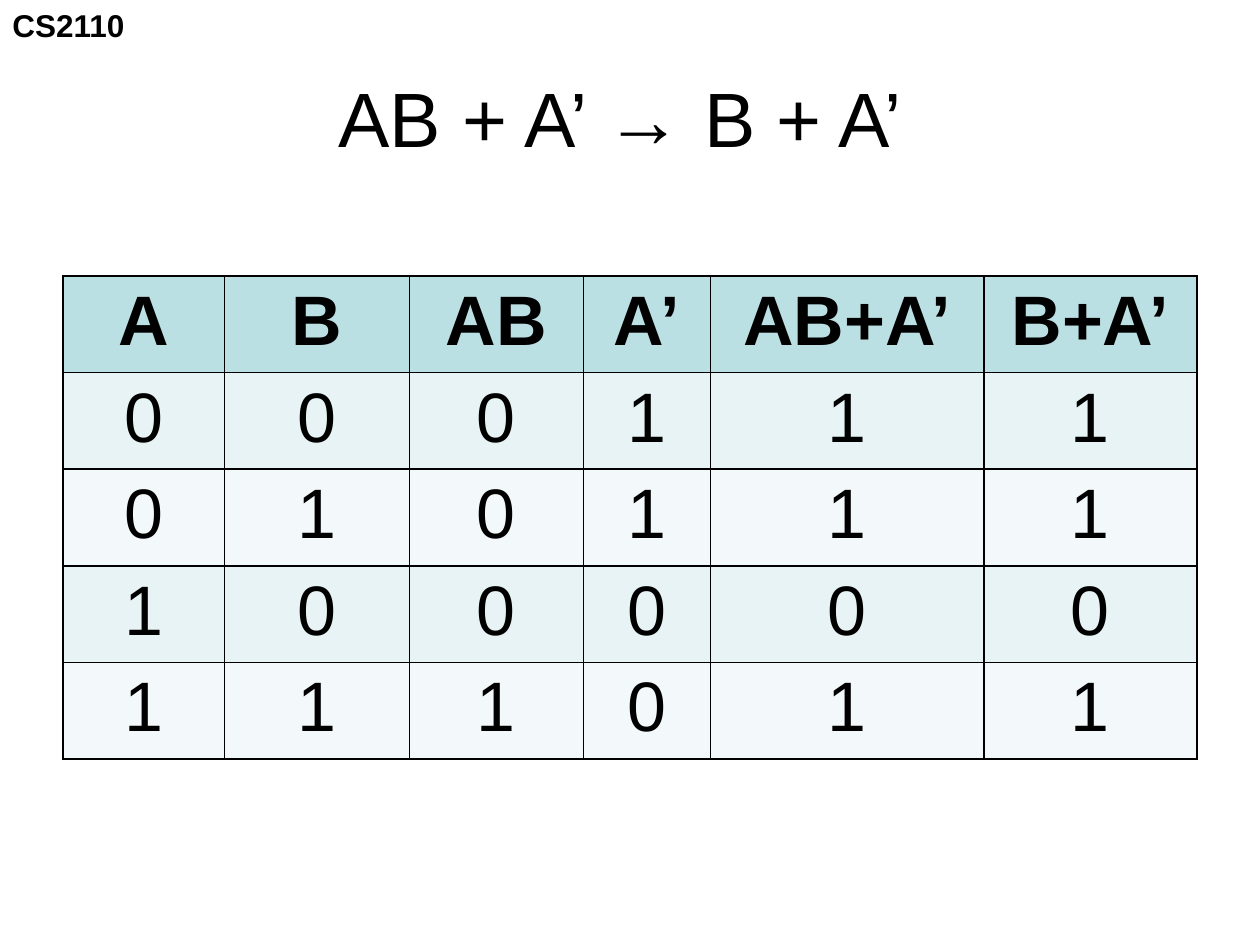
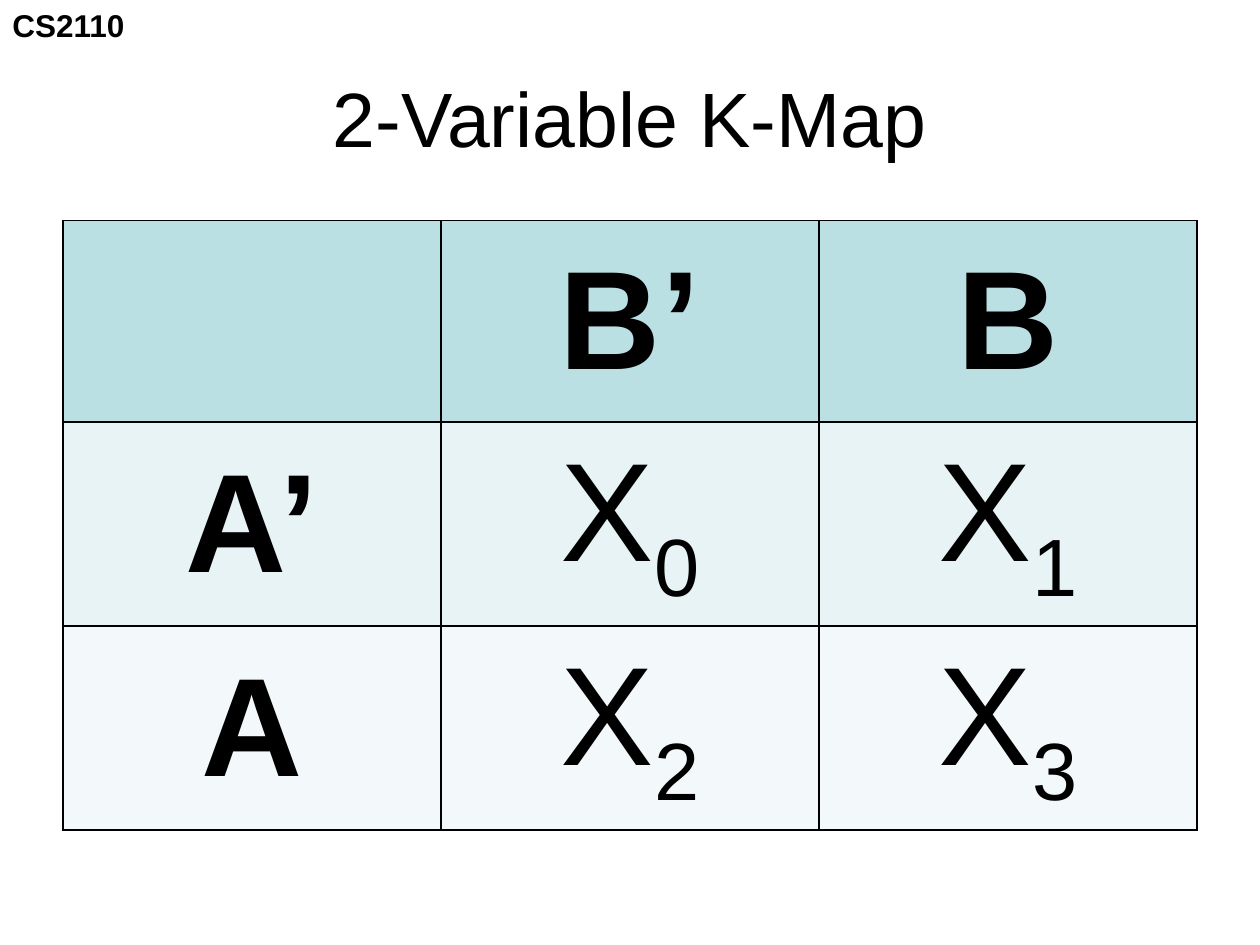
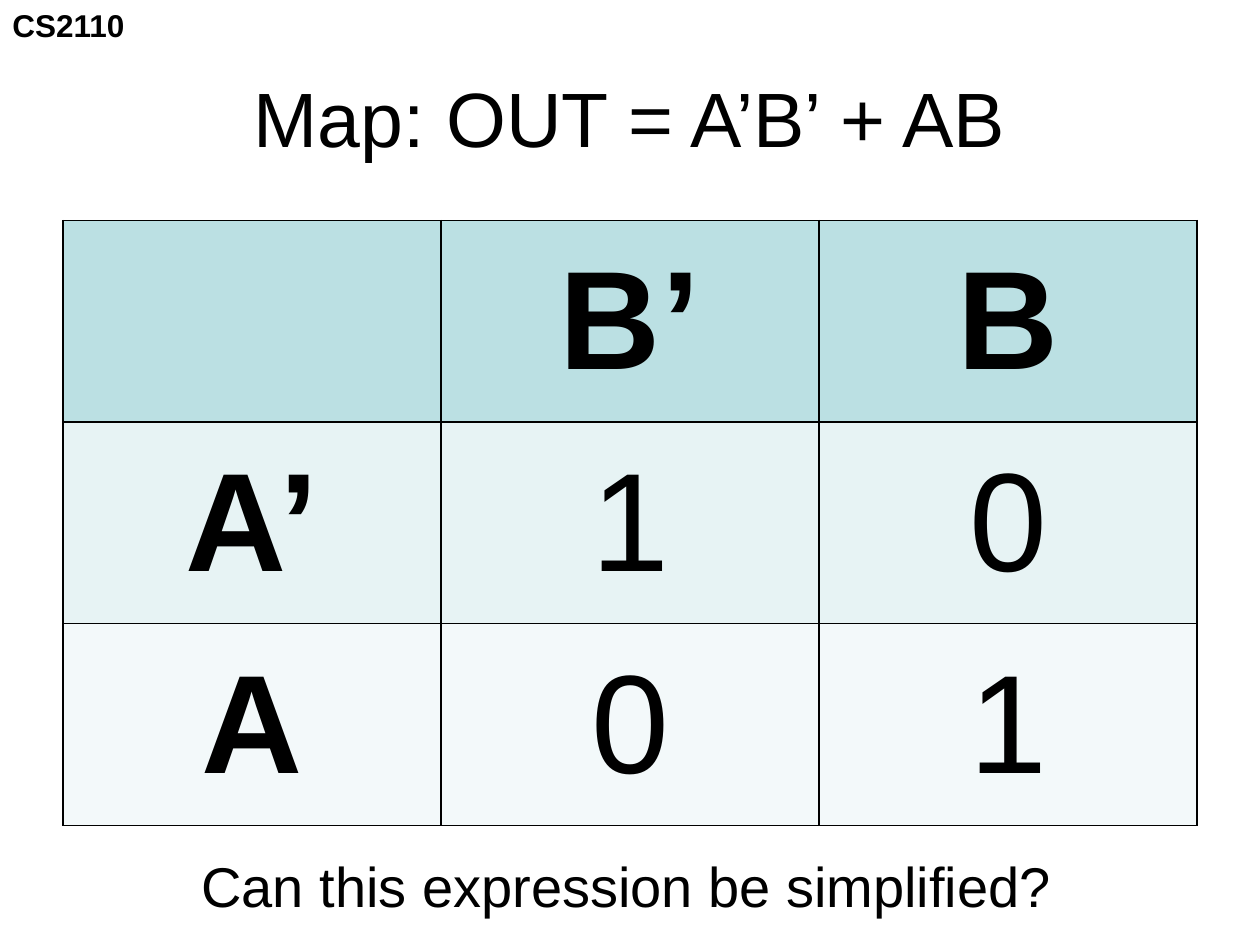
from dataclasses import dataclass

from lxml import etree
from pptx import Presentation
from pptx.dml.color import RGBColor
from pptx.enum.text import MSO_ANCHOR, MSO_AUTO_SIZE, PP_ALIGN
from pptx.oxml.ns import qn
from pptx.util import Emu, Pt

LEFT, CENTER = PP_ALIGN.LEFT, PP_ALIGN.CENTER
TOP, MIDDLE = MSO_ANCHOR.TOP, MSO_ANCHOR.MIDDLE
FIT_SHAPE, NO_FIT = MSO_AUTO_SIZE.SHAPE_TO_FIT_TEXT, MSO_AUTO_SIZE.NONE

EMU_PER_PX = 9144
FONT = "Arial"
BLACK = RGBColor(0x00, 0x00, 0x00)
HEADER_FILL = RGBColor(0xBB, 0xE0, 0xE3)
BAND_FILLS = (RGBColor(0xE7, 0xF3, 0xF4), RGBColor(0xF3, 0xF9, 0xFA))
BORDER_SIDES = ("a:lnL", "a:lnR", "a:lnT", "a:lnB")
BORDER_WIDTH = Pt(1)


@dataclass(frozen=True)
class Area:
    left: int
    top: int
    width: int
    height: int


@dataclass(frozen=True)
class Grid:
    top: int
    columns: tuple[int, ...]
    row_height: int
    size: int
    anchor: MSO_ANCHOR
    bold_first_column: bool


@dataclass(frozen=True)
class Page:
    title: str
    grid: Grid
    rows: tuple[tuple[str, ...], ...]
    question: str = ""


COURSE_AREA = Area(0, 0, 110, 40)
TITLE_AREA = Area(50, 30, 900, 125)
QUESTION_AREA = Area(150, 671, 700, 64)
TABLE_LEFT = 50

TRUTH_TABLE = Grid(219, (128, 147, 138, 101, 217, 169), 72, 40, TOP, False)
K_MAP = Grid(175, (300,) * 3, 160, 80, MIDDLE, True)

PAGES = (
    Page("AB + A’ → B + A’ ", TRUTH_TABLE, (
        ("A", "B", "AB", "A’", "AB+A’", "B+A’"),
        ("0", "0", "0", "1", "1", "1"),
        ("0", "1", "0", "1", "1", "1"),
        ("1", "0", "0", "0", "0", "0"),
        ("1", "1", "1", "0", "1", "1"),
    )),
    Page("2-Variable K-Map", K_MAP, (
        ("", "B’", "B"),
        ("A’", "X_0", "X_1"),
        ("A", "X_2", "X_3"),
    )),
    Page("Map: OUT = A’B’ + AB", K_MAP, (
        ("", "B’", "B"),
        ("A’", "1", "0"),
        ("A", "0", "1"),
    ), "Can this expression be simplified?"),
)


def px(length: int) -> Emu:
    return Emu(length * EMU_PER_PX)


def write(frame, text: str, *, size: int, bold: bool = False, align=LEFT) -> None:
    para = frame.paragraphs[0]
    para.alignment = align
    base, _, subscript = text.partition("_")
    for part, baseline in ((base, 0), (subscript, -25000)):
        if not part:
            continue
        span = para.add_run()
        span.text = part
        span.font.name = FONT
        span.font.size = Pt(size)
        span.font.bold = bold
        span.font.color.rgb = BLACK
        if baseline:
            span._r.get_or_add_rPr().set("baseline", str(baseline))


def add_text(page, area: Area, text: str, *, size: int, bold: bool = False,
             align=LEFT, anchor=TOP, wrap: bool = False) -> None:
    box = page.shapes.add_textbox(px(area.left), px(area.top), px(area.width), px(area.height))
    frame = box.text_frame
    frame.word_wrap = wrap
    frame.auto_size = NO_FIT if wrap else FIT_SHAPE
    frame.vertical_anchor = anchor
    write(frame, text, size=size, bold=bold, align=align)


def add_borders(cell) -> None:
    properties = cell._tc.get_or_add_tcPr()
    for side in BORDER_SIDES:
        line = etree.SubElement(properties, qn(side), w=str(BORDER_WIDTH))
        fill = etree.SubElement(line, qn("a:solidFill"))
        etree.SubElement(fill, qn("a:srgbClr"), val=str(BLACK))


def add_grid(page, grid: Grid, rows: tuple[tuple[str, ...], ...]) -> None:
    table = page.shapes.add_table(
        len(rows), len(grid.columns), px(TABLE_LEFT), px(grid.top),
        px(sum(grid.columns)), px(grid.row_height * len(rows))).table
    table.first_row = False
    table.horz_banding = False
    for column, width in zip(table.columns, grid.columns):
        column.width = px(width)
    for row_index, texts in enumerate(rows):
        table.rows[row_index].height = px(grid.row_height)
        is_header = row_index == 0
        for column_index, text in enumerate(texts):
            cell = table.cell(row_index, column_index)
            add_borders(cell)
            cell.fill.solid()
            cell.fill.fore_color.rgb = HEADER_FILL if is_header else BAND_FILLS[(row_index - 1) % 2]
            cell.vertical_anchor = grid.anchor
            bold = is_header or (grid.bold_first_column and column_index == 0)
            write(cell.text_frame, text, size=grid.size, bold=bold, align=CENTER)


def add_page(deck, content: Page) -> None:
    page = deck.slides.add_slide(deck.slide_layouts[6])
    add_text(page, COURSE_AREA, "CS2110", size=18, bold=True)
    add_text(page, TITLE_AREA, content.title, size=44, align=CENTER, anchor=MIDDLE, wrap=True)
    add_grid(page, content.grid, content.rows)
    if content.question:
        add_text(page, QUESTION_AREA, content.question, size=32)


def main() -> None:
    deck = Presentation()
    deck.slide_width, deck.slide_height = px(1000), px(750)
    for content in PAGES:
        add_page(deck, content)
    deck.save("out.pptx")


if __name__ == "__main__":
    main()
